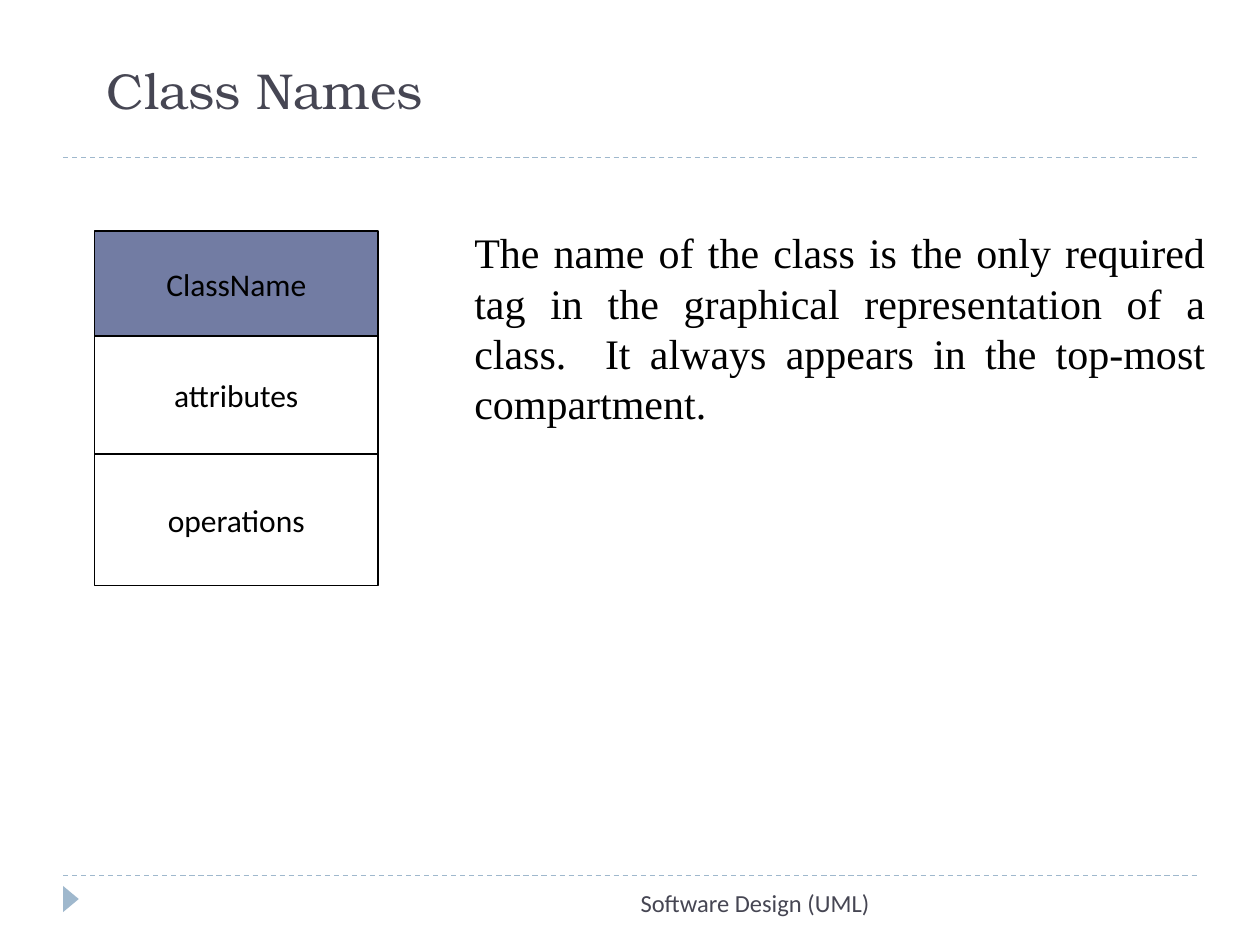
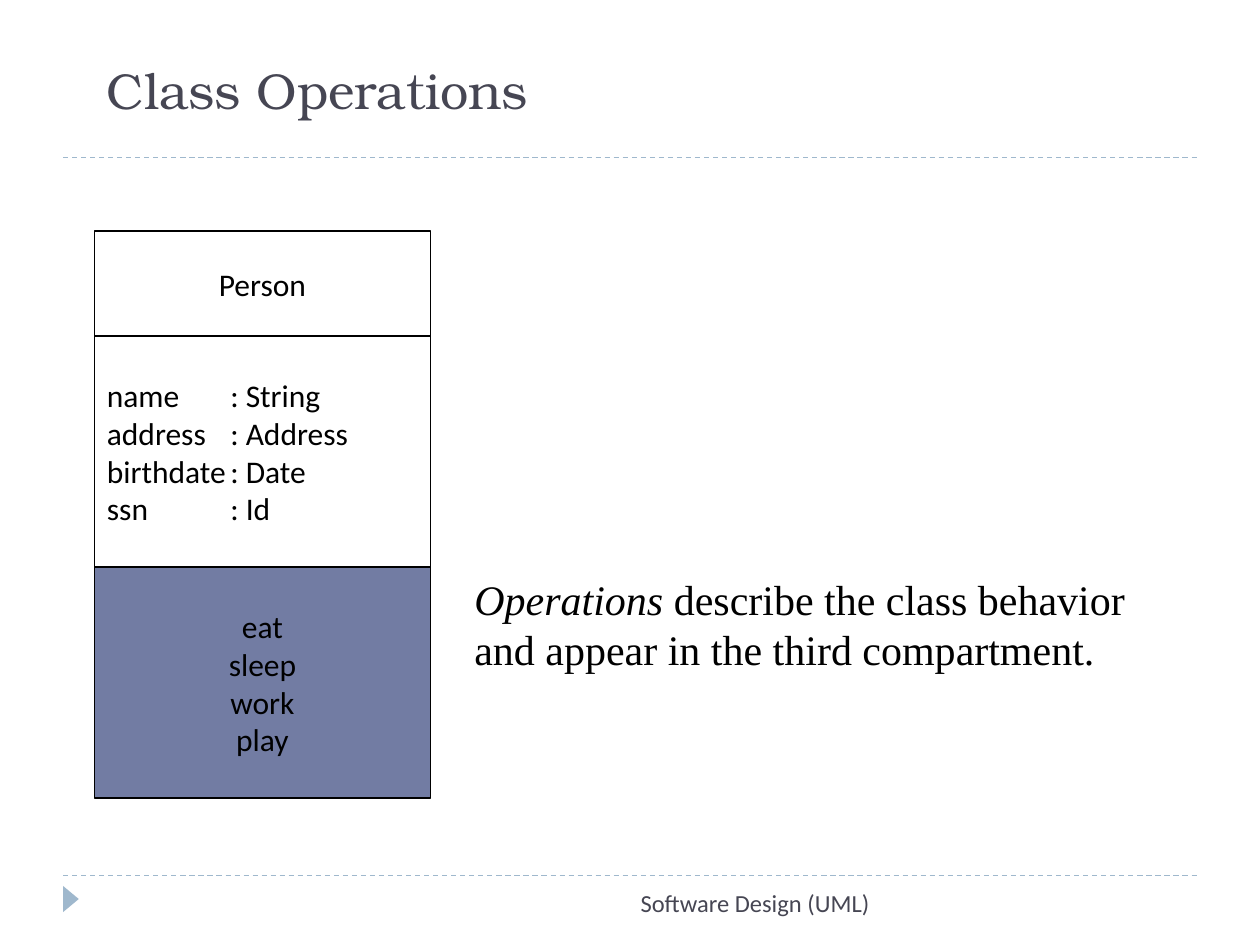
import pptx
import pptx.util
import pptx.dml.color
import pptx.enum.dml
import pptx.enum.shapes
import pptx.enum.text
import pptx.oxml.ns
from lxml import etree

PX = 9525  # EMU per px, 96 px to the inch
COLORS = {
    "ink": "000000",
    "title": "464653",
    "rule": "9FB8CD",
    "highlight": "727CA3",
    "plain": "FFFFFF",
}
FONTS = {"title": "TeX Gyre Bonum", "label": "Calibri", "body": "Times New Roman"}
ALIGN = pptx.enum.text.PP_ALIGN
ANCHOR = pptx.enum.text.MSO_ANCHOR
SHAPE = pptx.enum.shapes.MSO_SHAPE

CLASS_LEFT, CLASS_TOP = 72, 176
NOTE_LEFT = 352
TYPE_TAB = 94


def px(*lengths):
    return [pptx.util.Emu(length * PX) for length in lengths]


def color(name):
    return pptx.dml.color.RGBColor.from_string(COLORS[name])


def add_tab(para, position):
    properties = para._p.get_or_add_pPr()
    tabs = etree.SubElement(properties, pptx.oxml.ns.qn("a:tabLst"))
    etree.SubElement(tabs, pptx.oxml.ns.qn("a:tab"), pos=str(position * PX), algn="l")


def write_text(box, lines, *, font, size, ink="ink", align=ALIGN.LEFT,
               anchor=ANCHOR.TOP, wrap=True, tab=None):
    """Each line is a string or a list of (text, italic) spans."""
    frame = box.text_frame
    frame.word_wrap = wrap
    frame.vertical_anchor = anchor
    for index, line in enumerate(lines):
        para = frame.add_paragraph() if index else frame.paragraphs[0]
        para.alignment = align
        if tab:
            add_tab(para, tab)
        spans = [(line, False)] if isinstance(line, str) else line
        for text, italic in spans:
            span = para.add_run()
            span.text = text
            span.font.name = FONTS[font]
            span.font.size = pptx.util.Pt(size)
            span.font.italic = italic
            span.font.color.rgb = color(ink)


def add_text(page, place, lines, **style):
    box = page.shapes.add_textbox(*px(*place))
    write_text(box, lines, **style)


def add_shape(shapes, kind, place, fill, line=None):
    shape = shapes.add_shape(kind, *px(*place))
    shape.shadow.inherit = False
    shape.fill.solid()
    shape.fill.fore_color.rgb = color(fill)
    if line:
        shape.line.color.rgb = color(line)
        shape.line.width = pptx.util.Pt(0.75)
    else:
        shape.line.fill.background()
    return shape


def add_rule(page, top):
    rule = page.shapes.add_connector(
        pptx.enum.shapes.MSO_CONNECTOR.STRAIGHT, *px(48, top, 912, top))
    rule.line.color.rgb = color("rule")
    rule.line.width = pptx.util.Pt(0.75)
    rule.line.dash_style = pptx.enum.dml.MSO_LINE.DASH
    etree.SubElement(rule._element.spPr, pptx.oxml.ns.qn("a:effectLst"))


def add_page(deck, title):
    page = deck.slides.add_slide(deck.slide_layouts[6])
    for top in (667, 120):
        add_rule(page, top)
    marker = add_shape(page.shapes, SHAPE.ISOSCELES_TRIANGLE, (44, 679, 20, 12), "rule")
    marker.rotation = 90
    add_text(page, (72, 40, 824, 56), [title], font="title", size=28.8,
             ink="title", anchor=ANCHOR.BOTTOM)
    add_text(page, (248, 672, 424, 48), ["Software Design (UML)"], font="label",
             size=14, ink="title", align=ALIGN.RIGHT)
    return page


def add_class(page, width, compartments):
    """Stack compartments given as (height, fill, lines, text style)."""
    group = page.shapes.add_group_shape()
    top = CLASS_TOP
    for height, fill, lines, style in compartments:
        box = add_shape(group.shapes, SHAPE.RECTANGLE,
                        (CLASS_LEFT, top, width, height), fill, line="ink")
        write_text(box, lines, font="label", size=18, anchor=ANCHOR.MIDDLE,
                   **{"align": ALIGN.CENTER, **style})
        top += height


def main():
    deck = pptx.Presentation()
    deck.slide_width, deck.slide_height = px(960, 720)

    # Class names
    page = add_page(deck, "Class Names")
    add_class(page, 216, [
        (80, "highlight", ["ClassName"], {}),
        (90, "plain", ["attributes"], {}),
        (100, "plain", ["operations"], {}),
    ])
    add_text(page, (NOTE_LEFT, 168, 576, 165), [
        "The name of the class is the only required tag in the graphical "
        "representation of a class.  It always appears in the top-most compartment."
    ], font="body", size=24, align=ALIGN.JUSTIFY)

    # Class operations
    page = add_page(deck, "Class Operations")
    attributes = {"name": "String", "address": "Address", "birthdate": "Date", "ssn": "Id"}
    add_class(page, 256, [
        (80, "plain", ["Person"], {}),
        (176, "plain", [f"{name}\t: {kind}" for name, kind in attributes.items()],
         {"align": ALIGN.LEFT, "tab": TYPE_TAB}),
        (176, "highlight", ["eat", "sleep", "work", "play"], {}),
    ])
    add_text(page, (NOTE_LEFT, 432, 528, 87), [
        [("Operations ", True), ("describe the class behavior", False)],
        "and appear in the third compartment.",
    ], font="body", size=24, wrap=False)

    deck.save("out.pptx")


if __name__ == "__main__":
    main()
